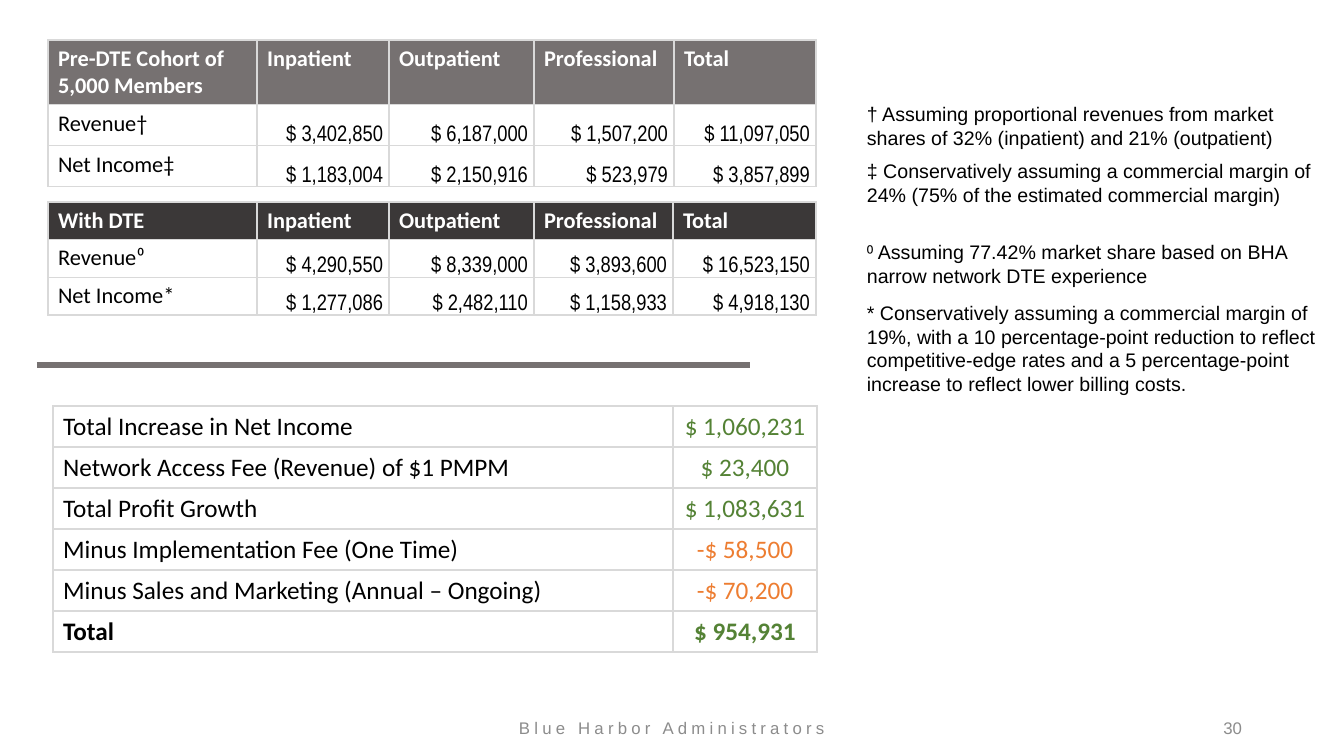
from lxml import etree
from pptx import Presentation
from pptx.dml.color import RGBColor as RGB
from pptx.enum.shapes import MSO_CONNECTOR as CONNECTOR
from pptx.enum.text import MSO_ANCHOR as ANCHOR, PP_ALIGN as ALIGN
from pptx.oxml import parse_xml
from pptx.oxml.ns import nsdecls, qn
from pptx.util import Emu, Pt


class Theme:
    black, white = "000000", "FFFFFF"
    gray, charcoal = "767171", "3B3838"
    border, footer = "D9D9D9", "8C8C8C"
    gain, cost = "548235", "ED7D31"
    body, narrow, plain = "Calibri", "Arial Narrow", "Arial"
    figures_size, summary_size, note_size, footer_size = 16, 18, 14, 12


PX = 914400 / 100.8  # EMU per pixel


def px(*lengths):
    return [Emu(round(length * PX)) for length in lengths]


def write(holder, text, font, size, color, bold=False, align=ALIGN.LEFT):
    """Fill a cell or text box with one formatted run and return that run."""
    holder.text_frame.text = text
    paragraph = holder.text_frame.paragraphs[0]
    paragraph.alignment = align
    run = paragraph.runs[0]
    run.font.name, run.font.size, run.font.bold = font, Pt(size), bold
    run.font.color.rgb = RGB.from_string(color)
    return run


deck = Presentation()
deck.slide_width, deck.slide_height = px(1344, 756)
slide = deck.slides.add_slide(deck.slide_layouts[6])
shapes = slide.shapes

# Tables: left, top, column widths, row heights, header fill, rows
measures = ["Inpatient", "Outpatient", "Professional", "Total"]
tables = [
    (48, 40, [209, 132, 145, 140, 142], [64, 41, 41], Theme.gray, [
        ["Pre-DTE Cohort of 5,000 Members", *measures],
        ["Revenue†", "$ 3,402,850", "$ 6,187,000", "$ 1,507,200", "$ 11,097,050"],
        ["Net Income‡", "$ 1,183,004", "$ 2,150,916", "$ 523,979", "$ 3,857,899"],
    ]),
    (48, 202, [209, 132, 145, 139, 143], [37, 38, 37], Theme.charcoal, [
        ["With DTE", *measures],
        ["Revenue⁰", "$ 4,290,550", "$ 8,339,000", "$ 3,893,600", "$ 16,523,150"],
        ["Net Income*", "$ 1,277,086", "$ 2,482,110", "$ 1,158,933", "$ 4,918,130"],
    ]),
    (53, 406, [620, 144], [41] * 6, None, [
        ["Total Increase in Net Income", "$ 1,060,231"],
        ["Network Access Fee (Revenue) of $1 PMPM", "$ 23,400"],
        ["Total Profit Growth", "$ 1,083,631"],
        ["Minus Implementation Fee (One Time)", "-$ 58,500"],
        ["Minus Sales and Marketing (Annual – Ongoing)", "-$ 70,200"],
        ["Total", "$ 954,931"],
    ]),
]
for left, top, widths, heights, header_fill, rows in tables:
    table = shapes.add_table(len(rows), len(widths),
                             *px(left, top, sum(widths), sum(heights))).table
    table.first_row = table.horz_banding = False
    for column, width in zip(table.columns, px(*widths)):
        column.width = width
    for row, height in zip(table.rows, px(*heights)):
        row.height = height

    for r, row in enumerate(rows):
        for c, text in enumerate(row):
            cell = table.cell(r, c)
            for side in "LRTB":
                cell._tc.get_or_add_tcPr().append(parse_xml(
                    f'<a:ln{side} {nsdecls("a")} w="12700"><a:solidFill>'
                    f'<a:srgbClr val="{Theme.border}"/></a:solidFill></a:ln{side}>'))
            cell.fill.background()

            if header_fill is None:
                value_color = Theme.cost if text.startswith("-") else Theme.gain
                write(cell, text, Theme.body, Theme.summary_size,
                      value_color if c else Theme.black, row[0] == "Total",
                      ALIGN.CENTER if c else ALIGN.LEFT)
            elif r == 0:
                cell.fill.solid()
                cell.fill.fore_color.rgb = RGB.from_string(header_fill)
                write(cell, text, Theme.body, Theme.figures_size, Theme.white, True)
            elif c == 0:
                write(cell, text, Theme.body, Theme.figures_size, Theme.black)
            else:
                write(cell, text, Theme.narrow, Theme.figures_size, Theme.black,
                      align=ALIGN.RIGHT)
                cell.vertical_anchor = ANCHOR.BOTTOM
                (cell.margin_left, cell.margin_top,
                 cell.margin_right, cell.margin_bottom) = px(1, 1, 6, 0)

divider = shapes.add_connector(CONNECTOR.STRAIGHT, *px(37, 365, 750, 365))
divider.line.color.rgb = RGB.from_string(Theme.gray)
divider.line.width = Pt(4.5)
etree.SubElement(divider._element.spPr, qn("a:effectLst"))

# Footnotes: top, height, text
footnotes = [
    (97, 57, "† Assuming proportional revenues from market shares of 32% (inpatient) "
             "and 21% (outpatient)"),
    (154, 57, "‡ Conservatively assuming a commercial margin of 24% (75% of the "
              "estimated commercial margin)"),
    (235, 57, "⁰ Assuming 77.42% market share based on BHA narrow network DTE experience"),
    (296, 105, "* Conservatively assuming a commercial margin of 19%, with a 10 "
               "percentage-point reduction to reflect competitive-edge rates and a 5 "
               "percentage-point increase to reflect lower billing costs."),
]
for top, height, text in footnotes:
    footnote = shapes.add_textbox(*px(857, top, 476, height))
    footnote.text_frame.word_wrap = True
    write(footnote, text, Theme.plain, Theme.note_size, Theme.black)

# Footer: left, width, text, alignment, letter spacing in hundredths of a point
footer_parts = [
    (445, 454, "Blue Harbor Administrators", ALIGN.CENTER, 300),
    (950, 302, "30", ALIGN.RIGHT, 0),
]
for left, width, text, align, spacing in footer_parts:
    footer = shapes.add_textbox(*px(left, 714, width, 27))
    footer.text_frame.word_wrap = True
    footer.text_frame.vertical_anchor = ANCHOR.MIDDLE
    run = write(footer, text, Theme.plain, Theme.footer_size, Theme.footer, align=align)
    run._r.get_or_add_rPr().set("spc", str(spacing))

deck.save("out.pptx")
